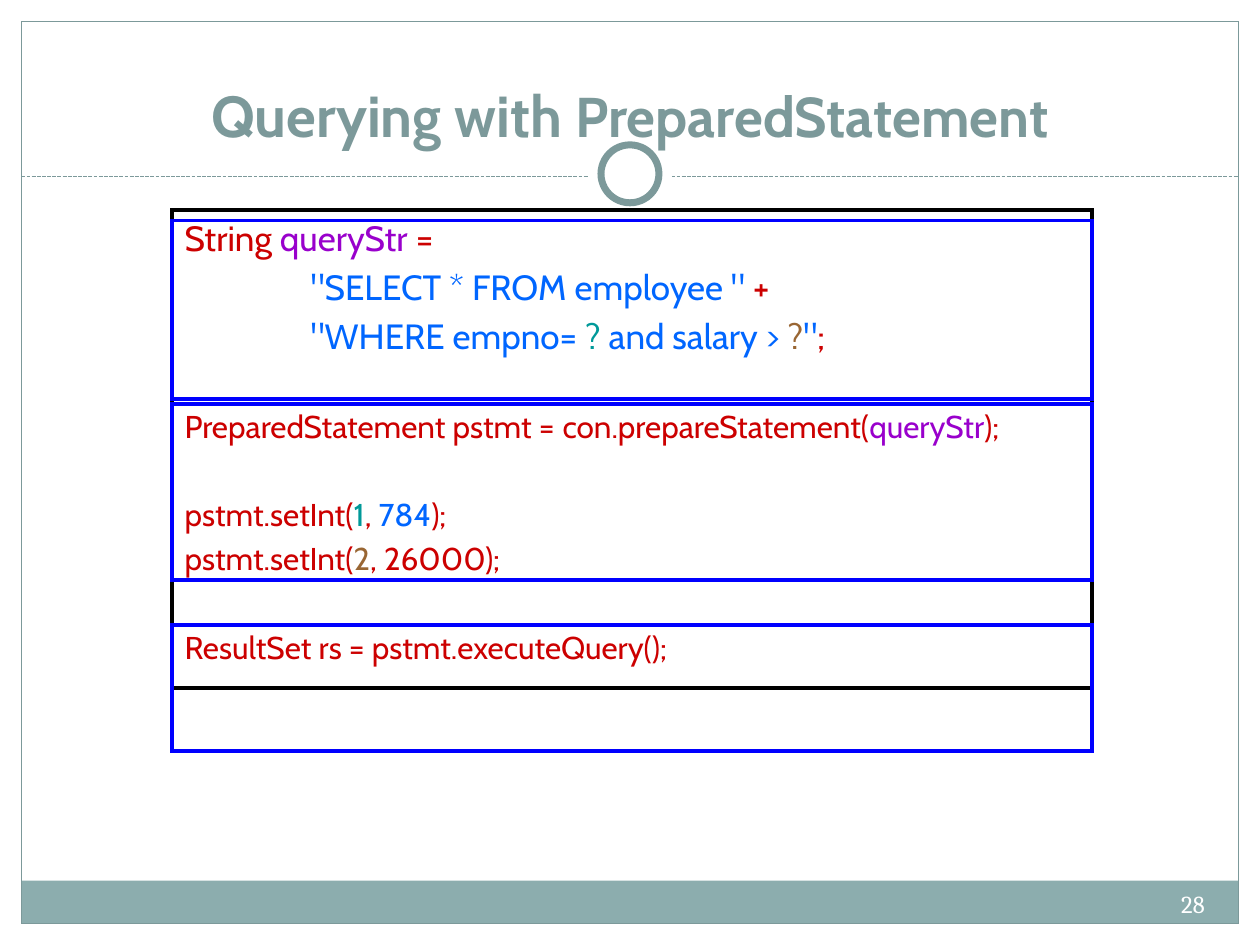
from lxml import etree
from pptx import Presentation
from pptx.dml.color import RGBColor
from pptx.enum.dml import MSO_LINE
from pptx.enum.shapes import MSO_CONNECTOR, MSO_SHAPE
from pptx.enum.text import MSO_ANCHOR, PP_ALIGN
from pptx.oxml.ns import qn
from pptx.util import Pt

RECTANGLE, OVAL = MSO_SHAPE.RECTANGLE, MSO_SHAPE.OVAL
STRAIGHT = MSO_CONNECTOR.STRAIGHT
DASHED = MSO_LINE.SQUARE_DOT
TOP, BOTTOM = MSO_ANCHOR.TOP, MSO_ANCHOR.BOTTOM
LEFT, CENTER, RIGHT = PP_ALIGN.LEFT, PP_ALIGN.CENTER, PP_ALIGN.RIGHT

WHITE = RGBColor(0xFF, 0xFF, 0xFF)
BLACK = RGBColor(0x00, 0x00, 0x00)
SAGE = RGBColor(0x7C, 0x99, 0x9A)
BAND = RGBColor(0x8C, 0xAD, 0xAE)
OUTLINE = RGBColor(0x00, 0x00, 0xFF)
RED = RGBColor(0xCC, 0x00, 0x00)
PURPLE = RGBColor(0x99, 0x00, 0xCC)
BLUE = RGBColor(0x00, 0x66, 0xFF)
TEAL = RGBColor(0x00, 0x99, 0x99)
BROWN = RGBColor(0x99, 0x66, 0x33)

TITLE = [("Querying with ", 33), ("PreparedStatement", 32)]
PAGE_NUMBER = "28"

# Each code line: text size, whether a gap of one line precedes it, coloured spans
CODE = [
    (20, False, [("String ", RED), ("queryStr ", PURPLE), ("=", RED)]),
    (20, False, [('\t"SELECT * FROM employee " ', BLUE), ("+", RED)]),
    (20, False, [('\t"WHERE empno= ', BLUE), ("? ", TEAL), ("and salary > ", BLUE),
                 ("?", BROWN), ('"', BLUE), (";", RED)]),
    (18, True, [("PreparedStatement pstmt = \tcon.prepareStatement(", RED),
                ("queryStr", PURPLE), (");", RED)]),
    (18, True, [("pstmt.setInt(", RED), ("1", TEAL), (", ", RED), ("784", BLUE),
                (");", RED)]),
    (18, False, [("pstmt.setInt(", RED), ("2", BROWN), (", 26000);", RED)]),
    (18, True, [("ResultSet rs = pstmt.executeQuery();", RED)]),
]
SPACING = 0.2        # space before a line, as a share of its text size
LINE_HEIGHT = 1.2    # height of a line, as a share of its text size
TAB_STOPS = [72, 144, 216]

WIDTH, HEIGHT = 720, 540
MARGIN = 12.24
RULE_Y = 100.8
RING_CENTER = (360, 99.36)
HEADER_HEIGHT = 109.44
CODE_LEFT, CODE_WIDTH = 98.4, 525.6
STEP_OUTLINES = [(126, 102.24), (230.64, 100.8), (357.12, 72)]  # top, height


def add_box(page, kind, left, top, width, height, fill=None, line=None, weight=0.75):
    box = page.shapes.add_shape(kind, Pt(left), Pt(top), Pt(width), Pt(height))
    box.shadow.inherit = False
    if fill is None:
        box.fill.background()
    else:
        box.fill.solid()
        box.fill.fore_color.rgb = fill
    if line is None:
        box.line.fill.background()
    else:
        box.line.color.rgb = line
        box.line.width = Pt(weight)
        outline = box.element.spPr.find(qn("a:ln"))
        etree.SubElement(outline, qn("a:miter"), lim="800000")
    return box


def add_circle(page, diameter, **style):
    x, y = RING_CENTER
    add_box(page, OVAL, x - diameter / 2, y - diameter / 2, diameter, diameter, **style)


def add_frame(page):
    inner = WIDTH - 2 * MARGIN
    add_box(page, RECTANGLE, 0, 0, WIDTH, HEADER_HEIGHT, fill=WHITE)
    for left in (0, WIDTH - MARGIN):
        add_box(page, RECTANGLE, left, 0, MARGIN, HEIGHT, fill=WHITE)
    add_box(page, RECTANGLE, MARGIN, 503.28, inner, 24.48, fill=BAND)
    add_box(page, RECTANGLE, MARGIN, MARGIN, inner, HEIGHT - 2 * MARGIN, line=SAGE)
    rule = page.shapes.add_connector(STRAIGHT, Pt(MARGIN), Pt(RULE_Y),
                                     Pt(WIDTH - MARGIN), Pt(RULE_Y))
    rule.line.color.rgb = SAGE
    rule.line.width = Pt(0.75)
    rule.line.dash_style = DASHED
    etree.SubElement(rule.element.spPr, qn("a:effectLst"))
    add_circle(page, 48, fill=WHITE)
    add_circle(page, 33.12, fill=WHITE, line=SAGE, weight=4)


def add_page_number(page):
    box = page.shapes.add_textbox(Pt(455.76), Pt(504.4), Pt(239.76), Pt(28.8))
    box.text_frame.word_wrap = True
    paragraph = box.text_frame.paragraphs[0]
    paragraph.text = PAGE_NUMBER
    paragraph.alignment = RIGHT
    paragraph.font.name = "Cambria"
    paragraph.font.size = Pt(14)
    paragraph.font.color.rgb = WHITE


def set_title(page):
    title = page.shapes.title
    title.left, title.top = Pt(33.84), Pt(22.32)
    title.width, title.height = Pt(652.32), Pt(66.24)
    title.text_frame.vertical_anchor = BOTTOM
    paragraph = title.text_frame.paragraphs[0]
    paragraph.alignment = CENTER
    paragraph.font.name = "Cabin"
    paragraph.font.bold = True
    paragraph.font.color.rgb = SAGE
    for text, size in TITLE:
        span = paragraph.add_run()
        span.text = text
        span.font.size = Pt(size)
    page.shapes.element.append(title.element)  # in front of the ring


def add_tab_stops(paragraph):
    properties = paragraph._p.get_or_add_pPr()
    stops = etree.SubElement(properties, qn("a:tabLst"))
    for position in TAB_STOPS:
        etree.SubElement(stops, qn("a:tab"), pos=str(Pt(position)), algn="l")


def add_code(page):
    box = add_box(page, RECTANGLE, CODE_LEFT, 120.24, CODE_WIDTH, 272.88,
                  fill=WHITE, line=BLACK, weight=2.25)
    frame = box.text_frame
    frame.word_wrap = True
    frame.vertical_anchor = TOP
    for index, (size, gap, spans) in enumerate(CODE):
        paragraph = frame.add_paragraph() if index else frame.paragraphs[0]
        add_tab_stops(paragraph)
        paragraph.alignment = LEFT
        paragraph.font.name = "Cabin"
        paragraph.font.size = Pt(size)
        if index:
            before = SPACING * size
            if gap:
                before += (SPACING + LINE_HEIGHT) * size
            paragraph.space_before = Pt(round(before, 1))
        for text, color in spans:
            span = paragraph.add_run()
            span.text = text
            span.font.color.rgb = color
    for top, height in STEP_OUTLINES:
        add_box(page, RECTANGLE, CODE_LEFT, top, CODE_WIDTH, height,
                line=OUTLINE, weight=2.25)


def main():
    deck = Presentation()
    deck.slide_width, deck.slide_height = Pt(WIDTH), Pt(HEIGHT)
    page = deck.slides.add_slide(deck.slide_layouts[5])
    add_frame(page)
    add_page_number(page)
    set_title(page)
    add_code(page)
    deck.save("out.pptx")


if __name__ == "__main__":
    main()
